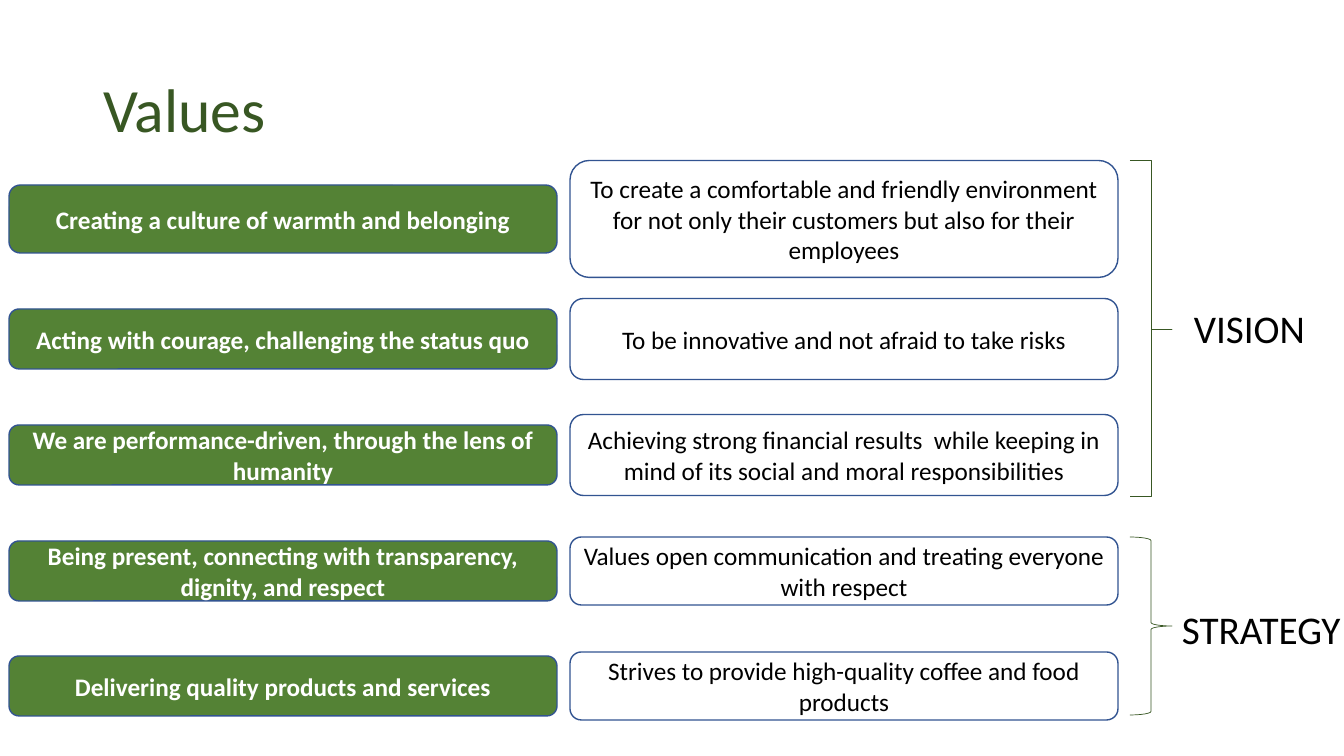
"""Build the Values slide: company values, their meaning, and the vision or strategy they serve."""
from dataclasses import dataclass

from pptx import Presentation
from pptx.dml.color import RGBColor
from pptx.enum.shapes import MSO_SHAPE as Shape
from pptx.enum.text import MSO_ANCHOR as Anchor, MSO_AUTO_SIZE as AutoSize, PP_ALIGN as Align
from pptx.util import Pt

TITLE = "Values"
VALUES = [
    ("Creating a culture of warmth and belonging",
     "To create a comfortable and friendly environment for not only their customers "
     "but also for their employees"),
    ("Acting with courage, challenging the status quo",
     "To be innovative and not afraid to take risks"),
    ("We are performance-driven, through the lens of humanity",
     "Achieving strong financial results  while keeping in mind of its social and "
     "moral responsibilities"),
    ("Being present, connecting with transparency, dignity, and respect",
     "Values open communication and treating everyone with respect"),
    ("Delivering quality products and services",
     "Strives to provide high-quality coffee and food products"),
]
ROWS = [(219, 68, 117), (339, 60, 81), (455, 60, 81), (571, 60, 68), (686, 60, 68)]
GROUPS = [
    {"label": "VISION", "brace": (160, 336), "adjust": (0, 0.505),
     "box": (1184, 299, 229, 57), "wrap": True},
    {"label": "STRATEGY", "brace": (537, 178), "adjust": (),
     "box": (1172, 600, 180, 57), "wrap": False},
]
PX = 914400 / 100.8
SLIDE_SIZE = (1344, 756)
TITLE_BOX = (93, 40, 1159, 146)
VALUE_LEFT, MEANING_LEFT, CARD_WIDTH = 9, 570, 548
BRACE_LEFT, BRACE_WIDTH = 1130, 42


@dataclass(frozen=True)
class Theme:
    """Colours, font and type sizes of the slide."""
    font: str = "Calibri"
    dark_green: str = "385723"
    green: str = "548235"
    blue: str = "325491"
    white: str = "FFFFFF"
    black: str = "000000"
    title_size: int = 44
    label_size: int = 28
    card_size: int = 18
    card_line: float = 1
    brace_line: float = 0.5


THEME = Theme()


def emu(*lengths):
    """Turn pixel lengths into EMU."""
    return [round(length * PX) for length in lengths]


def write(frame, text, size, color, bold=False, align=Align.LEFT, anchor=Anchor.MIDDLE):
    """Write one formatted run into a text frame and return its paragraph."""
    frame.vertical_anchor = anchor
    paragraph = frame.paragraphs[0]
    paragraph.alignment = align
    run = paragraph.add_run()
    run.text = text
    run.font.name = THEME.font
    run.font.size = Pt(size)
    run.font.bold = bold
    run.font.color.rgb = RGBColor.from_string(color)
    return paragraph


def add_outlined(slide, kind, box, line_color, line_width, fill=None):
    """Add a preset shape with an outline and an optional fill."""
    shape = slide.shapes.add_shape(kind, *emu(*box))
    shape.shadow.inherit = False
    shape.line.color.rgb = RGBColor.from_string(line_color)
    shape.line.width = Pt(line_width)
    if fill:
        shape.fill.solid()
        shape.fill.fore_color.rgb = RGBColor.from_string(fill)
    else:
        shape.fill.background()
    return shape


def add_card(slide, text, left, center, height, color, fill=None, bold=False):
    """Add a rounded card centred on its row."""
    box = (left, center - height / 2, CARD_WIDTH, height)
    card = add_outlined(slide, Shape.ROUNDED_RECTANGLE, box, THEME.blue, THEME.card_line, fill)
    card.text_frame.word_wrap = True
    write(card.text_frame, text, THEME.card_size, color, bold, Align.CENTER)


def add_group(slide, group):
    """Add a brace and the label beside it."""
    top, height = group["brace"]
    brace = add_outlined(slide, Shape.RIGHT_BRACE, (BRACE_LEFT, top, BRACE_WIDTH, height),
                         THEME.dark_green, THEME.brace_line)
    for index, value in enumerate(group["adjust"]):
        brace.adjustments[index] = value
    frame = slide.shapes.add_textbox(*emu(*group["box"])).text_frame
    frame.word_wrap = group["wrap"]
    frame.auto_size = AutoSize.SHAPE_TO_FIT_TEXT
    write(frame, group["label"], THEME.label_size, THEME.black, anchor=Anchor.TOP)


def main():
    """Build and save the slide."""
    presentation = Presentation()
    presentation.slide_width, presentation.slide_height = emu(*SLIDE_SIZE)
    slide = presentation.slides.add_slide(presentation.slide_layouts[5])

    title = slide.shapes.title
    title.left, title.top, title.width, title.height = emu(*TITLE_BOX)
    heading = write(title.text_frame, TITLE, THEME.title_size, THEME.dark_green)
    heading.line_spacing = 0.9

    for (value, meaning), (center, value_height, meaning_height) in zip(VALUES, ROWS):
        add_card(slide, value, VALUE_LEFT, center, value_height, THEME.white, THEME.green, True)
        add_card(slide, meaning, MEANING_LEFT, center, meaning_height, THEME.black)
    for group in GROUPS:
        add_group(slide, group)

    presentation.save("out.pptx")


if __name__ == "__main__":
    main()
